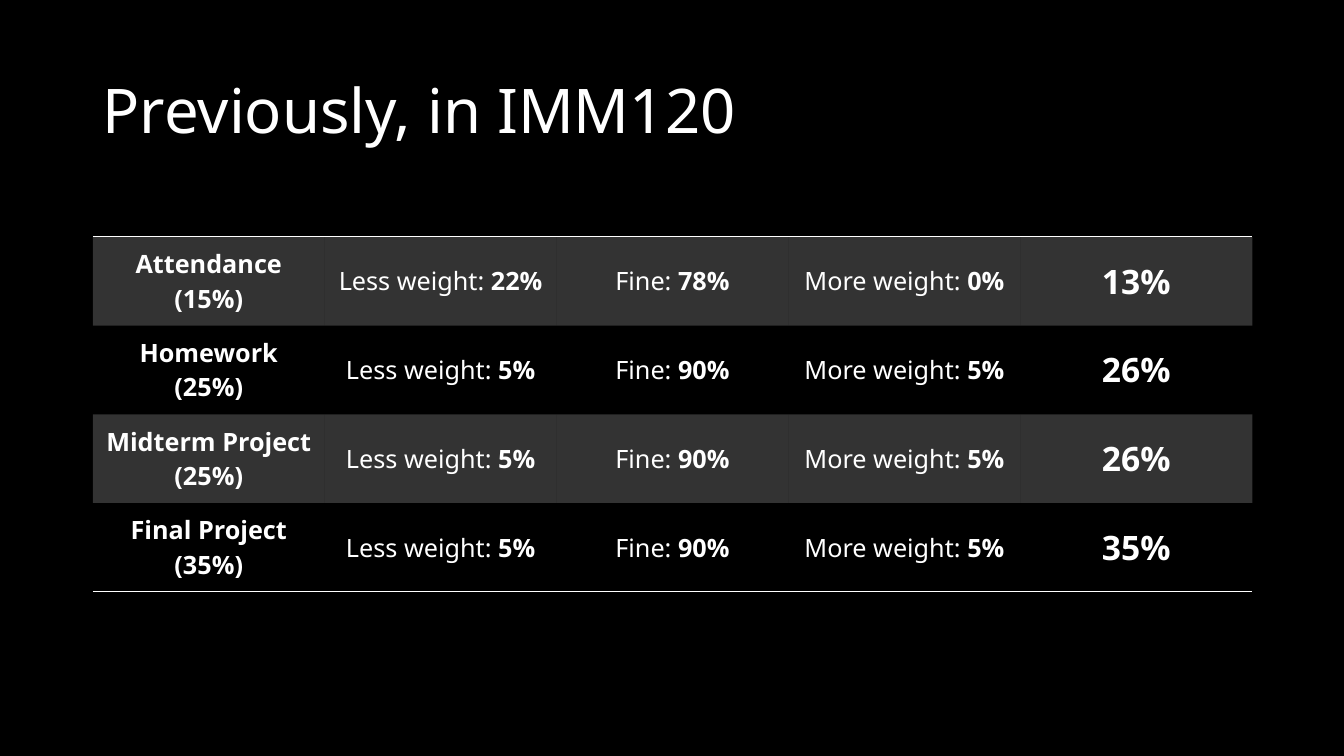
import pptx
import pptx.dml.color
import pptx.enum.text
import pptx.oxml
import pptx.oxml.ns
import pptx.util

Inches = pptx.util.Inches
FONT = "Noto Sans"
WHITE = "FFFFFF"
BLACK = "000000"
GRADES = [
    ("Attendance (15%)", "22%", "78%", "0%", "13%"),
    ("Homework (25%)", "5%", "90%", "5%", "26%"),
    ("Midterm Project (25%)", "5%", "90%", "5%", "26%"),
    ("Final Project (35%)", "5%", "90%", "5%", "35%"),
]
LABELS = ("", "Less weight: ", "Fine: ", "More weight: ", "")


def color(code):
    """Return the colour for a hex string."""
    return pptx.dml.color.RGBColor.from_string(code)


def style(run, size, bold=False):
    """Format one run of white text."""
    run.font.name = FONT
    run.font.size = pptx.util.Pt(size)
    run.font.bold = bold
    run.font.color.rgb = color(WHITE)


def add_title(slide, text):
    """Add the heading above the table."""
    box = slide.shapes.add_textbox(Inches(0.92), Inches(0.4), Inches(11.5), Inches(1.45))
    frame = box.text_frame
    frame.word_wrap = True
    frame.vertical_anchor = pptx.enum.text.MSO_ANCHOR.MIDDLE
    frame.text = text
    frame.paragraphs[0].line_spacing = 0.9
    style(frame.paragraphs[0].runs[0], 44)


def write(cell, label, value, size):
    """Write a plain label and a bold value into a cell."""
    cell.vertical_anchor = pptx.enum.text.MSO_ANCHOR.MIDDLE
    para = cell.text_frame.paragraphs[0]
    para.alignment = pptx.enum.text.PP_ALIGN.CENTER
    if label:
        para.text = label
        style(para.runs[0], size)
        para.add_run().text = value
    else:
        para.text = value
    style(para.runs[-1], size, True)


def shade(cell, banded):
    """Fill a banded cell with faint white and leave others clear."""
    if not banded:
        cell.fill.background()
        return
    cell.fill.solid()
    cell.fill.fore_color.rgb = color(WHITE)
    tone = cell._tc.tcPr.find(".//" + pptx.oxml.ns.qn("a:srgbClr"))
    tone.append(pptx.oxml.parse_xml(f'<a:alpha {pptx.oxml.ns.nsdecls("a")} val="20000"/>'))


def border(cell, sides):
    """Draw white lines on the given sides and none on the others."""
    for place, side in enumerate("LRTB"):
        paint = "<a:noFill/>"
        if side in sides:
            paint = f'<a:solidFill><a:srgbClr val="{WHITE}"/></a:solidFill>'
        line = f'<a:ln{side} {pptx.oxml.ns.nsdecls("a")} w="12700">{paint}</a:ln{side}>'
        cell._tc.tcPr.insert(place, pptx.oxml.parse_xml(line))


def add_grades(slide):
    """Add the table of grade weights."""
    last = len(GRADES) - 1
    shape = slide.shapes.add_table(
        len(GRADES), len(LABELS), Inches(0.92), Inches(2.35), Inches(11.5), Inches(3.52))
    table = shape.table
    table.first_row = False
    table.horz_banding = False
    for row, grade in enumerate(GRADES):
        sides = {0: "T", last: "B"}.get(row, "")
        for col, (label, value) in enumerate(zip(LABELS, grade)):
            cell = table.cell(row, col)
            write(cell, label, value, 24 if col == len(LABELS) - 1 else 18)
            shade(cell, row % 2 == 0)
            border(cell, sides)


def main():
    """Build and save the slide."""
    deck = pptx.Presentation()
    deck.slide_width = Inches(13.33)
    deck.slide_height = Inches(7.5)
    slide = deck.slides.add_slide(deck.slide_layouts[6])
    slide.background.fill.solid()
    slide.background.fill.fore_color.rgb = color(BLACK)
    add_title(slide, "Previously, in IMM120")
    add_grades(slide)
    deck.save("out.pptx")


if __name__ == "__main__":
    main()
